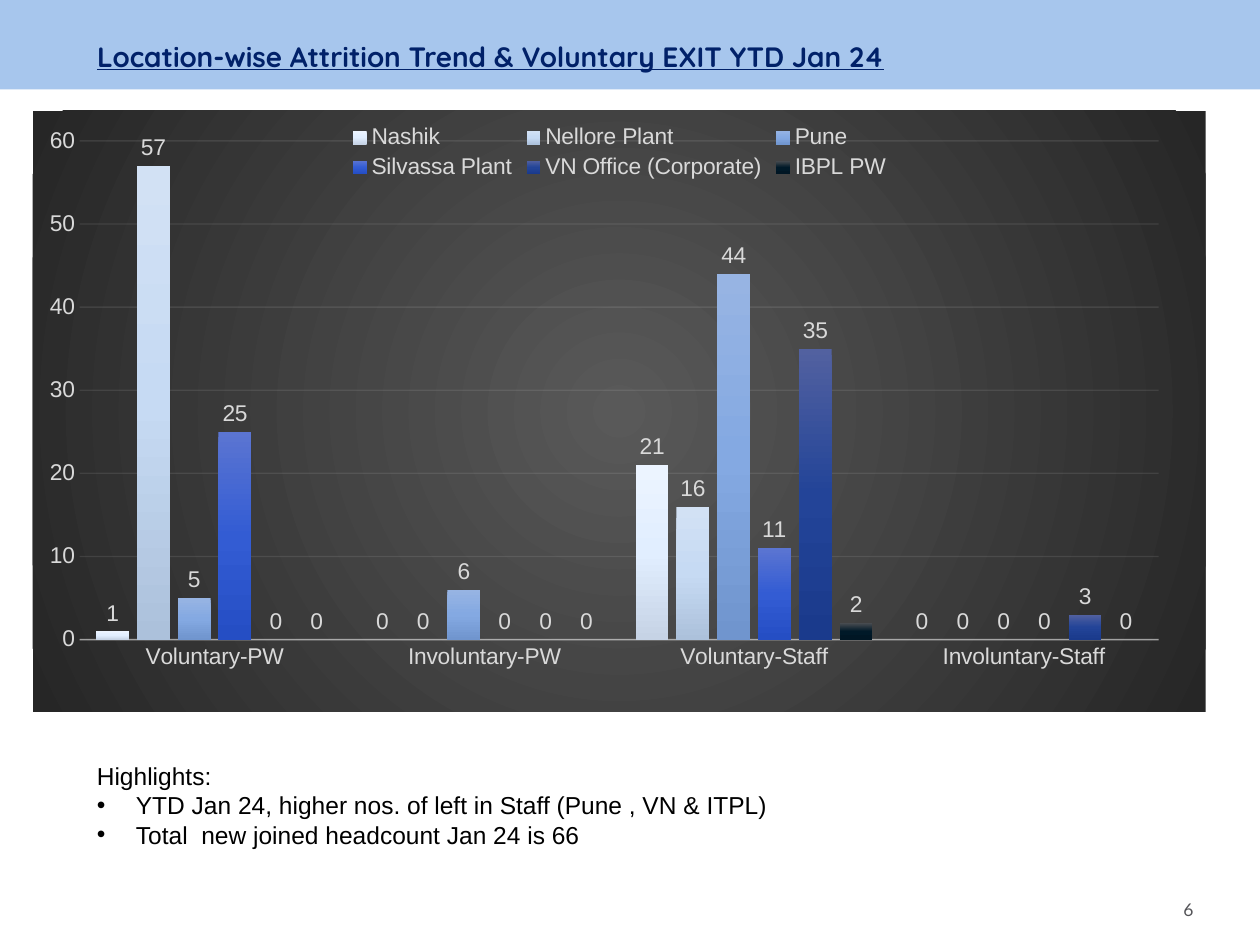
import pptx
import pptx.chart.data
import pptx.dml.color
import pptx.enum.chart
import pptx.enum.shapes
import pptx.enum.text
import pptx.oxml
import pptx.oxml.ns
import pptx.util
from pptx.util import Inches

COLORS = {
    "band": "A7C6ED",
    "title": "012169",
    "text": "000000",
    "number": "545458",
    "chart_text": "D9D9D9",
    "rule": "F2F2F2",
}
BACKDROP = ["595959", "262626"]
CATEGORIES = ["Voluntary-PW", "Involuntary-PW", "Voluntary-Staff", "Involuntary-Staff"]
SERIES = [
    ("Nashik", [1, 0, 21, 0], ["ECF4FF", "E1EEFF", "C6D3E5"]),
    ("Nellore Plant", [57, 0, 16, 0], ["D2E1F4", "C6DAF3", "ACC1DB"]),
    ("Pune", [5, 6, 44, 0], ["97B4E3", "84A9E2", "7095CE"]),
    ("Silvassa Plant", [25, 0, 11, 0], ["5B75D2", "335CD3", "254EC4"]),
    ("VN Office (Corporate)", [0, 0, 35, 3], ["5261A0", "234498", "1A3A8C"]),
    ("IBPL PW", [0, 0, 2, 0], ["4B4E52", "001928", "001624"]),
]
HIGHLIGHTS = [
    "YTD Jan 24, higher nos. of left in Staff (Pune , VN & ITPL)",
    "Total  new joined headcount Jan 24 is 66",
]
LINEAR = '<a:lin ang="5400000" scaled="0"/>'
CIRCLE = '<a:path path="circle"><a:fillToRect l="50000" t="50000" r="50000" b="50000"/></a:path>'


def rgb(name):
    """Return the named colour."""
    return pptx.dml.color.RGBColor.from_string(COLORS[name])


def xml(tag, inner="", attributes=""):
    """Return a new element from its tag, content and attributes."""
    spaces = pptx.oxml.ns.nsdecls("a", "c")
    return pptx.oxml.parse_xml(f"<{tag} {spaces} {attributes}>{inner}</{tag}>")


def gradient(stops, direction):
    """Return a gradient fill with evenly spaced stops."""
    step = 100000 // (len(stops) - 1)
    inner = "".join(
        f'<a:gs pos="{index * step}"><a:srgbClr val="{color}"/></a:gs>'
        for index, color in enumerate(stops)
    )
    return xml("a:gradFill", f"<a:gsLst>{inner}</a:gsLst>{direction}")


def style_font(font, size, color, name="Arial", bold=False, underline=False):
    """Set the format of a font."""
    font.size = pptx.util.Pt(size)
    font.name = name
    font.bold = bold
    font.underline = underline
    font.color.rgb = rgb(color)


def write(para, text, bullet=False, align=None, **style):
    """Fill a paragraph with formatted text."""
    if bullet:
        properties = para._p.get_or_add_pPr()
        properties.set("marL", str(Inches(0.31)))
        properties.set("indent", str(-Inches(0.31)))
        properties.append(xml("a:buFont", attributes='typeface="Arial"'))
        properties.append(xml("a:buChar", attributes='char="•"'))
    para.alignment = align
    span = para.add_run()
    span.text = text
    style_font(span.font, **style)


def set_frame(box, anchor, inset=None):
    """Wrap the text of a box, anchor it and return its frame."""
    frame = box.text_frame
    frame.word_wrap = True
    frame.auto_size = pptx.enum.text.MSO_AUTO_SIZE.NONE
    frame.vertical_anchor = anchor
    if inset is not None:
        frame.margin_left = frame.margin_right = Inches(inset)
        frame.margin_top = frame.margin_bottom = Inches(inset)
    return frame


def add_header(page):
    """Add the band and the title on it."""
    band = page.shapes.add_shape(
        pptx.enum.shapes.MSO_SHAPE.RECTANGLE, 0, 0, Inches(10), Inches(0.71)
    )
    band.shadow.inherit = False
    band.fill.solid()
    band.fill.fore_color.rgb = rgb("band")
    band.line.fill.background()
    title = page.shapes.title
    title.element.addprevious(band.element)
    title.left, title.top = Inches(0.67), Inches(0.21)
    title.width, title.height = Inches(9.07), Inches(0.5)
    frame = set_frame(title, pptx.enum.text.MSO_ANCHOR.TOP, 0.1)
    write(frame.paragraphs[0], "Location-wise Attrition Trend & Voluntary EXIT YTD Jan 24",
          align=pptx.enum.text.PP_ALIGN.LEFT, size=16, color="title",
          name="Quicksand", bold=True, underline=True)


def style_line(owner, line, width, opacity):
    """Draw an axis line or gridline as a translucent rule."""
    line.width = pptx.util.Pt(width)
    line.color.rgb = rgb("rule")
    properties = owner.find(pptx.oxml.ns.qn("c:spPr"))
    for color in properties.iter(pptx.oxml.ns.qn("a:srgbClr")):
        color.append(xml("a:alpha", attributes=f'val="{opacity * 1000}"'))


def style_axes(chart):
    """Format both axes and the gridlines."""
    category, value = chart.category_axis, chart.value_axis
    for axis in (category, value):
        axis.major_tick_mark = pptx.enum.chart.XL_TICK_MARK.NONE
        axis.minor_tick_mark = pptx.enum.chart.XL_TICK_MARK.NONE
        style_font(axis.tick_labels.font, 13, "chart_text")
    style_line(category._element, category.format.line, 1, 54)
    value.minimum_scale, value.maximum_scale, value.major_unit = 0, 60, 10
    value.format.line.fill.background()
    grid = value.major_gridlines
    line = grid.format.line
    style_line(value._element.find(pptx.oxml.ns.qn("c:majorGridlines")), line, 0.75, 10)


def style_areas(chart):
    """Set the chart backdrop and the place of the plot."""
    backdrop = xml("c:spPr", "<a:ln><a:noFill/></a:ln>")
    backdrop.insert(0, gradient(BACKDROP, CIRCLE))
    space = chart._chartSpace
    space.find(pptx.oxml.ns.qn("c:chart")).addnext(backdrop)
    area = space.chart.plotArea
    for layout in area.findall(pptx.oxml.ns.qn("c:layout")):
        area.remove(layout)
    places = {"x": 0.04, "y": 0.05, "w": 0.92, "h": 0.83}
    inner = '<c:layoutTarget val="inner"/><c:xMode val="edge"/><c:yMode val="edge"/>'
    inner += "".join(f'<c:{key} val="{place}"/>' for key, place in places.items())
    area.insert(0, xml("c:layout", f"<c:manualLayout>{inner}</c:manualLayout>"))


def add_attrition_chart(page):
    """Add the clustered columns of exits by location."""
    data = pptx.chart.data.CategoryChartData()
    data.categories = CATEGORIES
    for name, values, _ in SERIES:
        data.add_series(name, values)
    chart = page.shapes.add_chart(
        pptx.enum.chart.XL_CHART_TYPE.COLUMN_CLUSTERED,
        Inches(0.26), Inches(0.88), Inches(9.31), Inches(4.77), data,
    ).chart
    style_font(chart.font, 13, "text")
    chart.has_title = False
    chart.has_legend = True
    chart.legend.position = pptx.enum.chart.XL_LEGEND_POSITION.TOP
    chart.legend.include_in_layout = False
    style_font(chart.legend.font, 13, "chart_text")
    plot = chart.plots[0]
    plot.gap_width, plot.overlap, plot.vary_by_categories = 100, -24, False
    for series, (_, _, stops) in zip(plot.series, SERIES):
        series.invert_if_negative = False
        series._element.get_or_add_spPr().insert(0, gradient(stops, LINEAR))
        labels = series.data_labels
        labels.show_value = True
        labels.position = pptx.enum.chart.XL_LABEL_POSITION.OUTSIDE_END
        style_font(labels.font, 13, "chart_text")
    style_axes(chart)
    style_areas(chart)


def add_highlights(page):
    """Add the heading and bullets below the chart."""
    box = page.shapes.add_textbox(Inches(0.67), Inches(5.99), Inches(8.45), Inches(1.04))
    frame = set_frame(box, pptx.enum.text.MSO_ANCHOR.TOP)
    write(frame.paragraphs[0], "Highlights:", size=14, color="text")
    for text in HIGHLIGHTS:
        write(frame.add_paragraph(), text, bullet=True, size=14, color="text")


def add_page_number(page):
    """Add the page number at the lower right."""
    box = page.shapes.add_textbox(Inches(8.97), Inches(6.93), Inches(0.6), Inches(0.57))
    frame = set_frame(box, pptx.enum.text.MSO_ANCHOR.MIDDLE, 0.1)
    write(frame.paragraphs[0], "6", align=pptx.enum.text.PP_ALIGN.RIGHT,
          size=10, color="number", name="Lato")


def main():
    """Build the attrition slide and save it."""
    deck = pptx.Presentation()
    deck.slide_width, deck.slide_height = Inches(10), Inches(7.5)
    page = deck.slides.add_slide(deck.slide_layouts[5])
    add_header(page)
    add_page_number(page)
    add_highlights(page)
    add_attrition_chart(page)
    deck.save("out.pptx")


if __name__ == "__main__":
    main()
